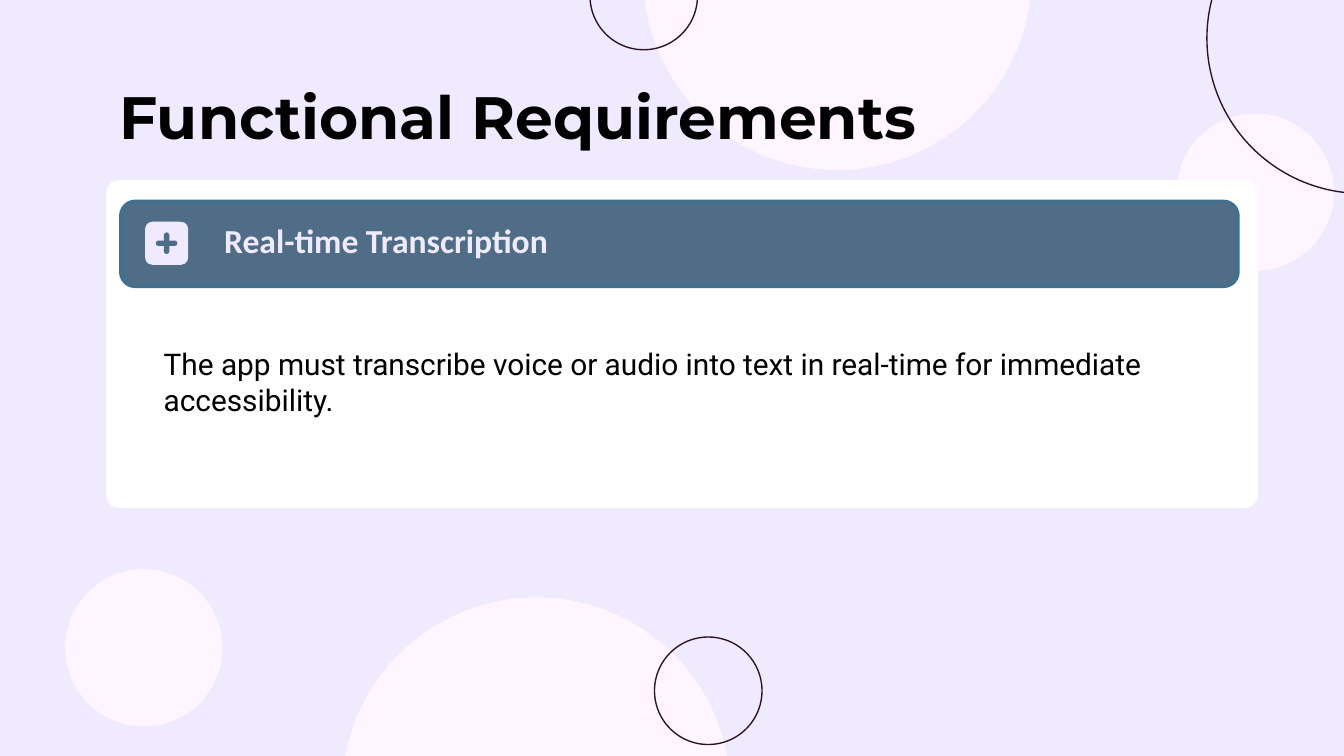
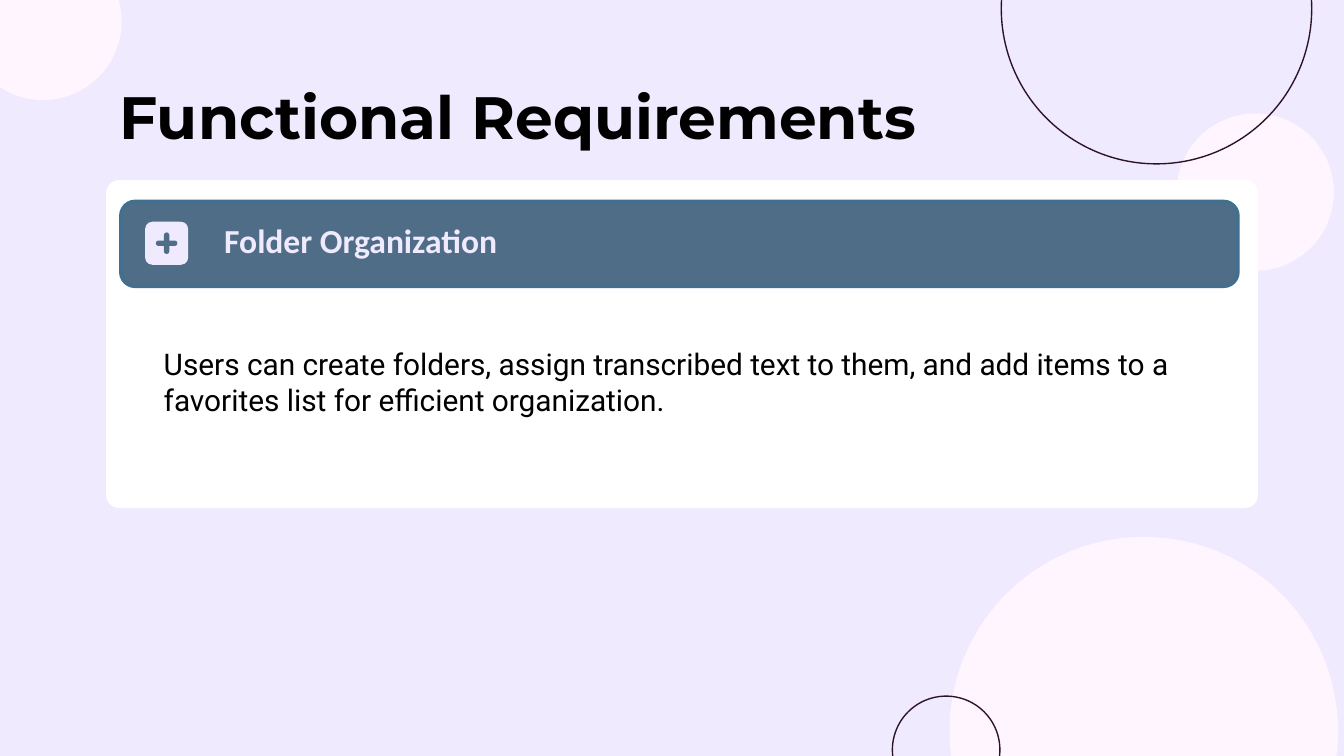
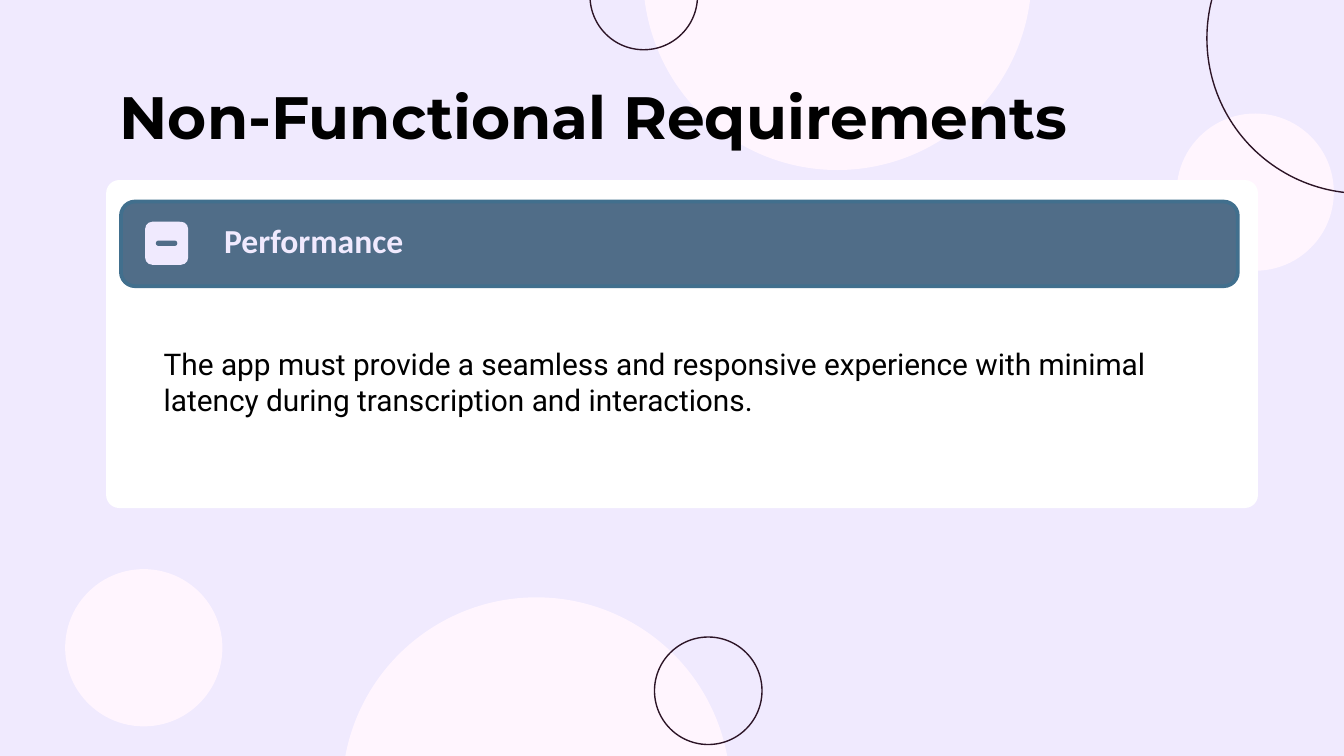
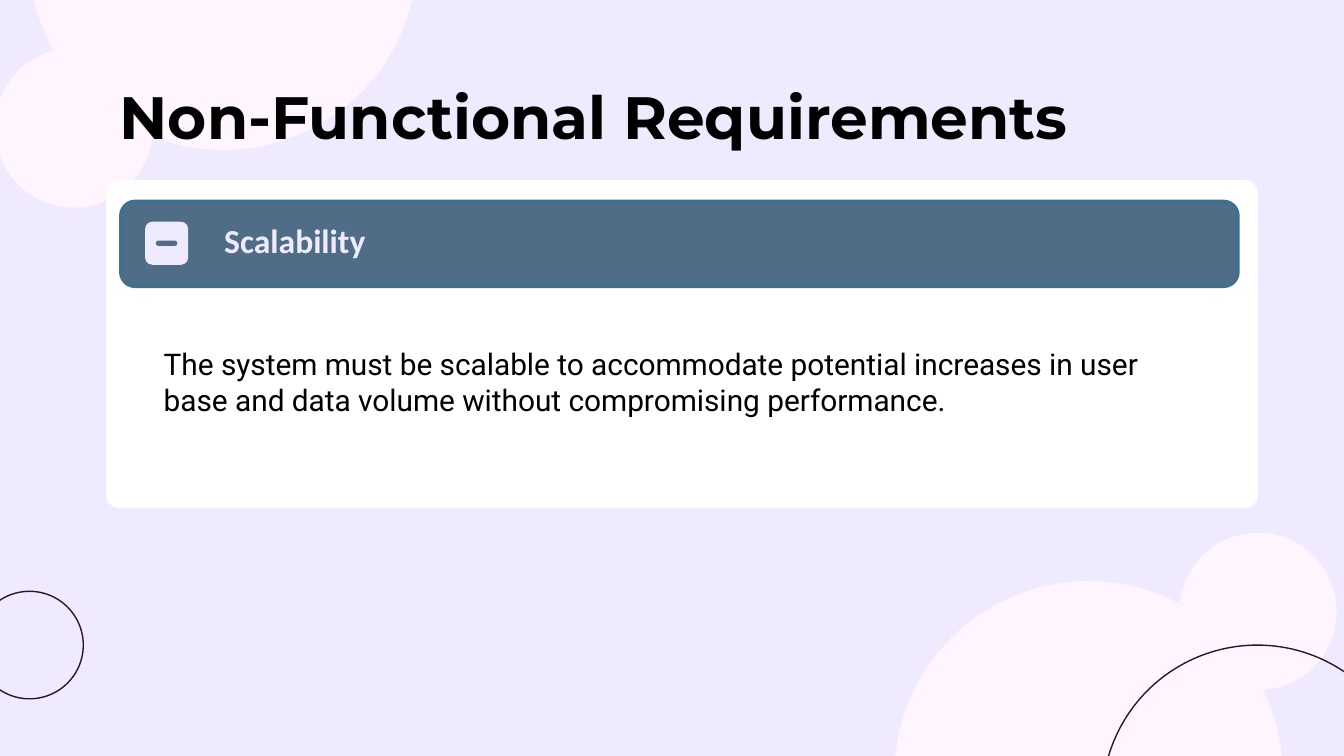
import pptx
import pptx.dml.color
import pptx.enum.shapes
import pptx.enum.text
import pptx.util

RGBColor = pptx.dml.color.RGBColor
Inches = pptx.util.Inches
Pt = pptx.util.Pt
Shape = pptx.enum.shapes.MSO_SHAPE
Anchor = pptx.enum.text.MSO_ANCHOR

SLIDE_WIDTH = Inches(10)
SLIDE_HEIGHT = SLIDE_WIDTH * 9 // 16

LAVENDER = RGBColor(0xF0, 0xEA, 0xFE)
BLUSH = RGBColor(0xFF, 0xF5, 0xFE)
PLUM = RGBColor(0x2C, 0x14, 0x26)
SLATE = RGBColor(0x50, 0x6D, 0x88)
SLATE_EDGE = RGBColor(0x41, 0x6F, 0x8D)
WHITE = RGBColor(0xFF, 0xFF, 0xFF)
BLACK = RGBColor(0, 0, 0)

# Circle kind: diameter, fill, line colour
CIRCLES = {
    "small disc": (1.16, BLUSH, BLUSH),
    "large disc": (2.88, BLUSH, BLUSH),
    "small ring": (0.8, None, PLUM),
    "large ring": (2.31, None, PLUM),
}

# Left and top corners of the circles behind each slide, back to front
CENTRAL = {
    "small disc": [(8.76, 0.85), (0.49, 4.24)],
    "large disc": [(2.55, 4.45), (4.79, -1.62)],
    "small ring": [(4.87, 4.74), (4.39, -0.43)],
    "large ring": [(8.98, -0.87)],
}
RIGHT = {
    "small disc": [(-0.26, -0.42), (8.76, 0.85)],
    "large disc": [(7.07, 4)],
    "small ring": [(6.64, 5.18)],
    "large ring": [(7.45, -1.09)],
}
CORNERS = {
    "small disc": [(8.78, 3.97), (-0.03, 0.36), (-0.03, 0.38)],
    "large disc": [(6.66, 4.33), (0.22, -1.77)],
    "small ring": [(-0.18, 4.4)],
    "large ring": [(8.2, 4.8)],
}

FUNCTIONAL = "Functional Requirements"
NON_FUNCTIONAL = "Non-Functional Requirements"

# Title, heading, statement, badge sign, backdrop
REQUIREMENTS = [
    (FUNCTIONAL, "Real-time Transcription",
     "The app must transcribe voice or audio into text in real-time for "
     "immediate accessibility.", "plus", CENTRAL),
    (FUNCTIONAL, "Folder Organization",
     "Users can create folders, assign transcribed text to them, and add "
     "items to a favorites list for efficient organization.", "plus", RIGHT),
    (NON_FUNCTIONAL, "Performance",
     "The app must provide a seamless and responsive experience with minimal "
     "latency during transcription and interactions.", "minus", CENTRAL),
    (NON_FUNCTIONAL, "Scalability",
     "The system must be scalable to accommodate potential increases in user "
     "base and data volume without compromising performance.", "minus", CORNERS),
]

SIGN_TURNS = {"plus": (0, 90), "minus": (0,)}

TITLE_AREA = (0.79, 0.49, 8.43, 0.63)
CARD_AREA = (0.79, 1.34, 8.57, 2.44)
BAR_AREA = (0.9, 1.5, 8.31, 0.63)
HEADING_AREA = (1.57, 1.58, 4.06, 0.46)
STATEMENT_AREA = (1.12, 2.47, 7.77, 0.71)
BADGE_AREA = (1.08, 1.65, 0.32, 0.32)
STROKE_AREA = (1.16, 1.79, 0.16, 0.04)

TITLE_FONT = {"name": "Montserrat", "size": Pt(32), "bold": True}
HEADING_FONT = {"name": "Calibri", "size": Pt(18), "bold": True}
STATEMENT_FONT = {"name": "Roboto", "size": Pt(16), "bold": False}


def add_figure(shapes, kind, area, fill, line=None, width=0.75, rounding=None):
    figure = shapes.add_shape(kind, *map(Inches, area))
    figure.shadow.inherit = False
    if fill is None:
        figure.fill.background()
    else:
        figure.fill.solid()
        figure.fill.fore_color.rgb = fill
    if line is None:
        figure.line.fill.background()
    else:
        figure.line.color.rgb = line
        figure.line.width = Pt(width)
    if rounding is not None:
        figure.adjustments[0] = rounding
    return figure


def write(box, text, font, color, anchor=Anchor.TOP):
    frame = box.text_frame
    settings = {
        "word_wrap": True,
        "auto_size": pptx.enum.text.MSO_AUTO_SIZE.NONE,
        "vertical_anchor": anchor,
    }
    for side in ("left", "top", "right", "bottom"):
        settings["margin_" + side] = Inches(0.1)
    for name, value in settings.items():
        setattr(frame, name, value)
    para = frame.paragraphs[0]
    para.alignment = pptx.enum.text.PP_ALIGN.LEFT
    span = para.add_run()
    span.text = text
    for name, value in font.items():
        setattr(span.font, name, value)
    span.font.color.rgb = color


def add_backdrop(page, backdrop):
    for kind, corners in backdrop.items():
        diameter, fill, line = CIRCLES[kind]
        for left, top in corners:
            add_figure(page.shapes, Shape.OVAL, (left, top, diameter, diameter), fill, line)


def place_title(page, text):
    """Position the title and bring it in front of the backdrop."""
    title = page.shapes.title
    for side, value in zip(("left", "top", "width", "height"), TITLE_AREA):
        setattr(title, side, Inches(value))
    write(title, text, TITLE_FONT, BLACK)
    title.element.getparent().append(title.element)


def add_badge(page, sign):
    badge = page.shapes.add_group_shape()
    add_figure(badge.shapes, Shape.ROUNDED_RECTANGLE, BADGE_AREA, LAVENDER)
    for turn in SIGN_TURNS[sign]:
        stroke = add_figure(badge.shapes, Shape.ROUNDED_RECTANGLE, STROKE_AREA, SLATE, rounding=0.5)
        stroke.rotation = turn


def add_requirement(deck, title, heading, statement, sign, backdrop):
    page = deck.slides.add_slide(deck.slide_layouts.get_by_name("Title Only"))
    add_backdrop(page, backdrop)
    add_figure(page.shapes, Shape.ROUNDED_RECTANGLE, CARD_AREA, WHITE, rounding=0.04)
    add_figure(page.shapes, Shape.ROUNDED_RECTANGLE, BAR_AREA, SLATE, SLATE_EDGE, width=2)
    place_title(page, title)
    statement_box = page.shapes.add_textbox(*map(Inches, STATEMENT_AREA))
    write(statement_box, statement, STATEMENT_FONT, BLACK)
    heading_box = page.shapes.add_textbox(*map(Inches, HEADING_AREA))
    write(heading_box, heading, HEADING_FONT, LAVENDER, Anchor.BOTTOM)
    add_badge(page, sign)


def main():
    deck = pptx.Presentation()
    deck.slide_width, deck.slide_height = SLIDE_WIDTH, SLIDE_HEIGHT
    background = deck.slide_master.background.fill
    background.solid()
    background.fore_color.rgb = LAVENDER
    for requirement in REQUIREMENTS:
        add_requirement(deck, *requirement)
    deck.save("out.pptx")


if __name__ == "__main__":
    main()
